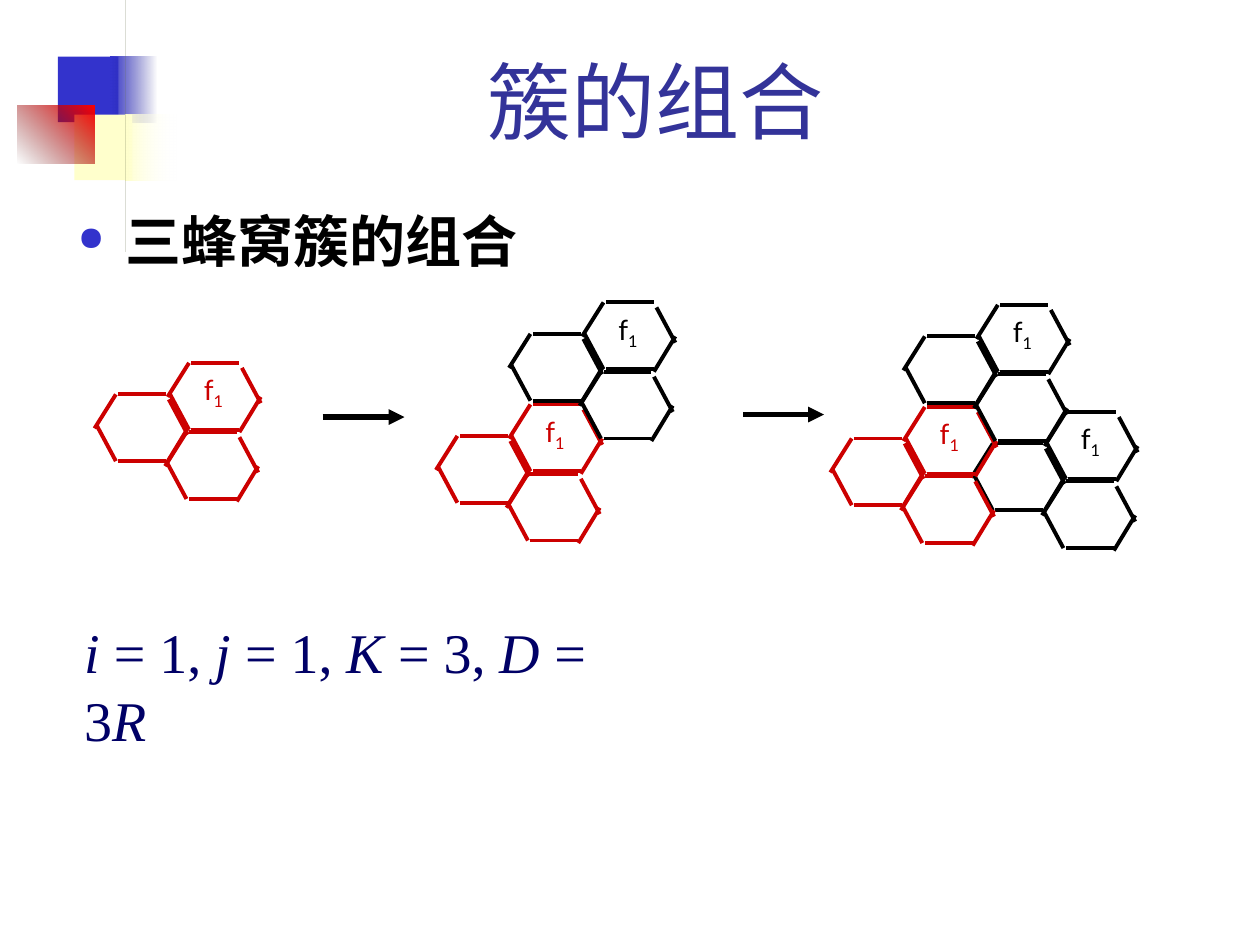
from lxml.etree import SubElement
from pptx import Presentation
from pptx.dml.color import RGBColor
from pptx.enum.shapes import MSO_CONNECTOR, MSO_SHAPE
from pptx.enum.text import MSO_ANCHOR, PP_ALIGN
from pptx.oxml.ns import qn
from pptx.util import Inches, Pt

RED, BLACK = "CC0000", "000000"
CJK, SERIF, SANS = "Noto Sans CJK SC", "Times New Roman", "Lato"

# Gradient stops are (colour, alpha in percent); the angle is counter-clockwise.
WEDGE = [((0.58, 1.31), (3.49, 1.32), (6.39, 1.34), (7.92, 1.31)),
         ((7.92, 1.31), (9.44, 1.29), (9.48, 1.26), (9.75, 1.17))]
WEDGE_FILL = ([("00E4A8", 100), ("00A378", 0)], 45)
BLOCKS = [
    ((0.46, 0.45, 0.48, 0.52), "3333CC"),
    ((0.88, 0.45, 0.36, 0.52), ([("3333CC", 100), ("242492", 0)], 0)),
    ((0.59, 0.91, 0.46, 0.52), "FFFFCC"),
    ((1.0, 0.91, 0.4, 0.52), ([("FFFFCC", 100), ("FFFFFF", 0)], 0)),
    ((0.14, 0.84, 0.61, 0.46), ([("4D0000", 0), ("FF0000", 100)], 45)),
]
BLADES = [
    [((0.92, 0.34), (0.91, 0.85), (0.9, 1.36), (0.83, 1.59))],
    [((0.92, 0.34), (0.92, 0.85), (0.93, 1.36), (1.0, 1.59))],
]

# Six strokes of one cell, from the cell's top left corner
CELL_STROKES = [
    (0.19, 0, 0.57, 0), (0.19, 0.53, 0.57, 0.53),
    (0.74, 0.27, 0.57, 0.55), (0.17, 0, 0, 0.27),
    (0.02, 0.25, 0.17, 0.53), (0.59, 0.04, 0.74, 0.32),
]
# Three cells of one cluster; the first one carries the label
CELL_OFFSETS = [(0.58, 0), (0, 0.25), (0.56, 0.55)]
CLUSTERS = [
    (0.75, 2.88, RED),
    (3.46, 3.21, RED), (4.04, 2.4, BLACK),
    (7.71, 3.27, BLACK), (6.59, 3.23, RED), (7.17, 2.42, BLACK),
]
ARROWS = [(2.56, 3.31, 3.21, 3.31), (5.9, 3.29, 6.54, 3.29)]

FORMULA = [("i ", "i"), ("= 1, ", ""), ("j", "i"), (" = 1, ", ""), ("K ", "i"),
           ("= 3, ", ""), ("D", "i"), (" = 3", ""), ("R", "i")]


def rgb(value):
    return RGBColor.from_string(value)


def paint(s, fill):
    """Fill with a hex colour or a (stops, angle) gradient, without outline."""
    s.shadow.inherit = False
    s.line.fill.background()
    if isinstance(fill, str):
        s.fill.solid()
        s.fill.fore_color.rgb = rgb(fill)
        return
    stops, angle = fill
    s.fill.gradient()
    s.fill.gradient_angle = angle
    for stop, (color, _) in zip(s.fill.gradient_stops, stops):
        stop.color.rgb = rgb(color)
    for gs, (_, alpha) in zip(s._element.iter(qn("a:gs")), stops):
        SubElement(gs[0], qn("a:alpha"), val=str(alpha * 1000))


def add_curve(shapes, curves, fill, steps=24):
    """Closed outline through cubic Bezier curves."""
    points = [curves[0][0]]
    for curve in curves:
        for i in range(1, steps + 1):
            t = i / steps
            weights = ((1 - t) ** 3, 3 * t * (1 - t) ** 2, 3 * t * t * (1 - t), t ** 3)
            points.append(tuple(sum(w * pt[axis] for w, pt in zip(weights, curve))
                                for axis in (0, 1)))
    builder = shapes.build_freeform(*points[0], scale=Inches(1))
    builder.add_line_segments(points[1:], close=True)
    paint(builder.convert_to_shape(), fill)


def add_line(shapes, ends, color, width, arrow=False):
    s = shapes.add_connector(MSO_CONNECTOR.STRAIGHT, *map(Inches, ends))
    s.line.color.rgb = rgb(color)
    s.line.width = Pt(width)
    if arrow:
        SubElement(s.line._get_or_add_ln(), qn("a:tailEnd"), type="triangle")
    SubElement(s._element.spPr, qn("a:effectLst"))


def add_text(shapes, box, runs, *, size, font, color, bold=False, wrap=True,
             anchor=MSO_ANCHOR.TOP, align=PP_ALIGN.LEFT, bullet=None):
    """Runs are (text, style) pairs: style "i" is italic, "sub" is subscript."""
    s = shapes.add_textbox(*map(Inches, box))
    tf = s.text_frame
    tf.word_wrap = wrap
    tf.vertical_anchor = anchor
    p = tf.paragraphs[0]
    p.alignment = align
    if bullet:
        char, bullet_color, percent, indent = bullet
        pPr = p._p.get_or_add_pPr()
        pPr.set("marL", str(Inches(indent)))
        pPr.set("indent", str(-Inches(indent)))
        SubElement(SubElement(pPr, qn("a:buClr")), qn("a:srgbClr"), val=bullet_color)
        SubElement(pPr, qn("a:buSzPct"), val=str(percent * 1000))
        SubElement(pPr, qn("a:buChar"), char=char)
    for text, style in runs:
        r = p.add_run()
        r.text = text
        r.font.size = Pt(size)
        r.font.name = font
        r.font.bold = bold
        r.font.italic = style == "i"
        r.font.color.rgb = rgb(color)
        rPr = r._r.get_or_add_rPr()
        SubElement(rPr, qn("a:ea"), typeface=CJK)
        if style == "sub":
            rPr.set("baseline", "-25000")


def add_cluster(shapes, left, top, color):
    group = shapes.add_group_shape().shapes
    for dx, dy in CELL_OFFSETS:
        x, y = left + dx, top + dy
        for x1, y1, x2, y2 in CELL_STROKES:
            add_line(group, (x + x1, y + y1, x + x2, y + y2), color, 2.25)
    dx, dy = CELL_OFFSETS[0]
    add_text(group, (left + dx + 0.19, top + dy + 0.06, 0.35, 0.37),
             [("f", ""), ("1", "sub")], size=16, font=SANS, color=color,
             wrap=False, anchor=MSO_ANCHOR.BOTTOM)


def main():
    prs = Presentation()
    prs.slide_width, prs.slide_height = Inches(10), Inches(7.5)
    shapes = prs.slides.add_slide(prs.slide_layouts[6]).shapes

    add_curve(shapes, WEDGE, WEDGE_FILL)
    for box, fill in BLOCKS:
        paint(shapes.add_shape(MSO_SHAPE.RECTANGLE, *map(Inches, box)), fill)
    for blade in BLADES:
        add_curve(shapes, blade, "6C7351")

    for cluster in CLUSTERS:
        add_cluster(shapes, *cluster)
    for ends in ARROWS:
        add_line(shapes, ends, BLACK, 3, arrow=True)

    add_text(shapes, (1.26, 0.23, 7.88, 1.01), [("簇的组合", "")], size=48, font=CJK,
             color="333399", anchor=MSO_ANCHOR.BOTTOM, align=PP_ALIGN.CENTER)
    add_text(shapes, (0.52, 1.59, 9.29, 2.95), [("三蜂窝簇的组合", "")], size=32,
             font=SERIF, color=BLACK, bold=True, bullet=("●", "3333CC", 60, 0.38))
    add_text(shapes, (0.57, 4.9, 4.7, 1.12), FORMULA, size=32, font=SERIF,
             color="000066", anchor=MSO_ANCHOR.BOTTOM)

    prs.save("out.pptx")


if __name__ == "__main__":
    main()
